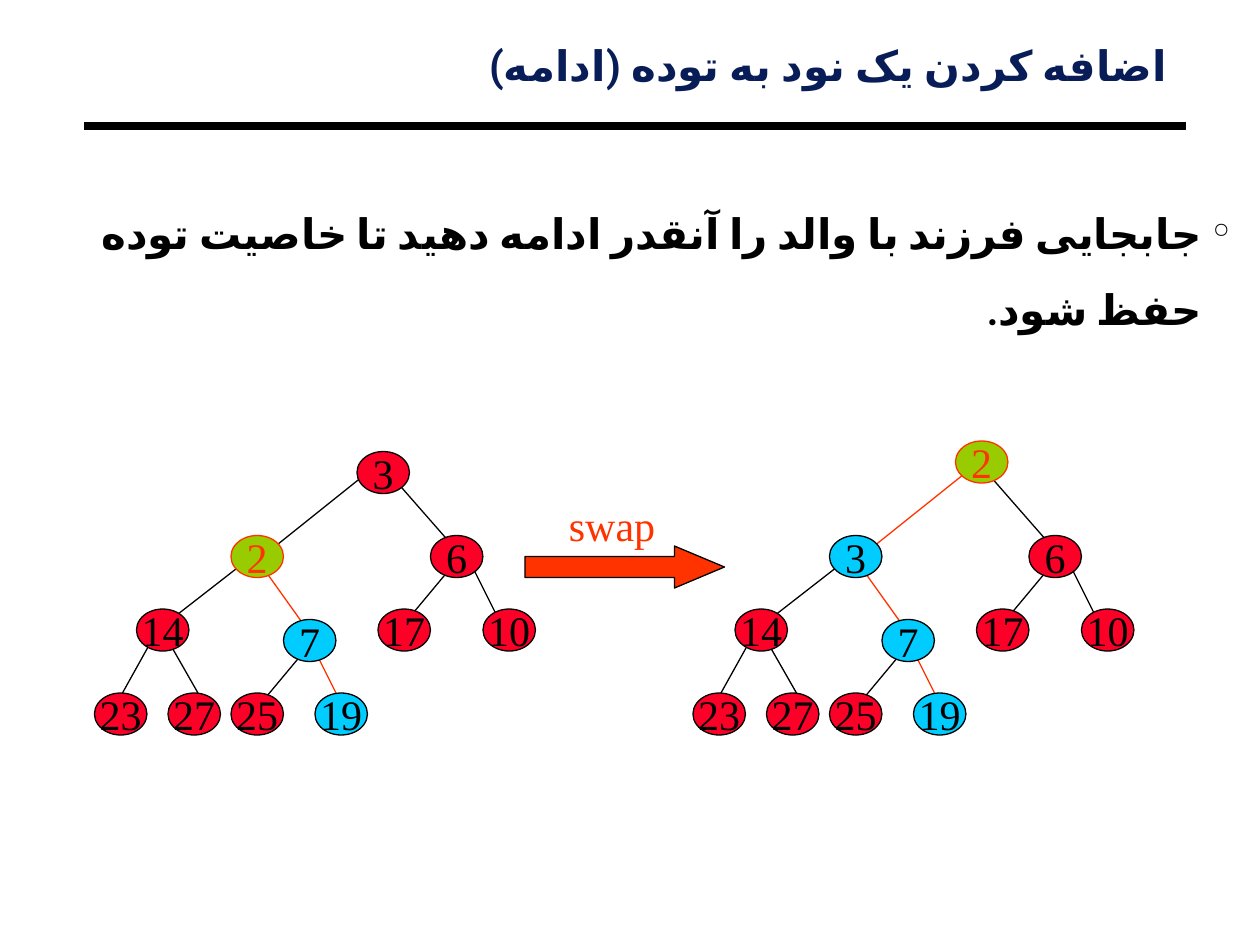
import pptx
import pptx.dml.color
import pptx.enum.lang
import pptx.enum.shapes
import pptx.enum.text
import pptx.oxml.ns
import pptx.util
import lxml.etree

Pt = pptx.util.Pt
Shape = pptx.enum.shapes.MSO_SHAPE
Anchor = pptx.enum.text.MSO_ANCHOR
Align = pptx.enum.text.PP_ALIGN
qn = pptx.oxml.ns.qn

BLACK, NAVY, ORANGE = "000000", "081D58", "FF3300"
RED, CYAN, GREEN = "FC0128", "00CCFF", "99CC00"
SERIF = "Times New Roman"
NODE_WIDTH, NODE_HEIGHT = 30, 24

NODES = {
    "root": (150, 6), "left": (78, 54), "6": (192, 54), "14": (24, 96),
    "7": (108, 102), "17": (162, 96), "10": (222, 96), "23": (0, 144),
    "27": (42, 144), "25": (78, 144), "19": (126, 144),
}
EDGES = {
    ("root", "left"): (156, 18, 96, 66), ("root", "6"): (168, 18, 210, 66),
    ("left", "14"): (90, 66, 36, 108), ("left", "7"): (96, 72, 126, 114),
    ("6", "17"): (204, 72, 174, 108), ("6", "10"): (216, 72, 234, 108),
    ("14", "23"): (36, 108, 6, 162), ("14", "27"): (42, 114, 66, 156),
    ("7", "25"): (120, 120, 90, 156), ("7", "19"): (126, 120, 144, 156),
}


def colour(value):
    """Return the colour for a hex string."""
    return pptx.dml.color.RGBColor.from_string(value)


def add_element(parent, tag, **attributes):
    """Append a drawing element with attributes to its parent."""
    return lxml.etree.SubElement(parent, qn(tag), **attributes)


def write_text(shape, text, font=SERIF, ink=BLACK, bold=False, align=Align.LEFT,
               anchor=Anchor.TOP, margins=(7.2, 3.6), wrap=True, spacing=None,
               persian=False, bullet=None, indent=16):
    """Fill a shape with one formatted paragraph."""
    frame = shape.text_frame
    frame.auto_size = pptx.enum.text.MSO_AUTO_SIZE.NONE
    frame.word_wrap = wrap
    frame.vertical_anchor = anchor
    frame.margin_left = frame.margin_right = Pt(margins[0])
    frame.margin_top = frame.margin_bottom = Pt(margins[1])
    para = frame.paragraphs[0]
    properties = para._p.get_or_add_pPr()
    if bullet:
        properties.set("marL", str(Pt(indent)))
        properties.set("indent", str(-Pt(indent)))
        add_element(add_element(properties, "a:buClr"), "a:srgbClr", val=ink)
        add_element(properties, "a:buChar", char=bullet)
    para.alignment = align
    if spacing:
        para.line_spacing = spacing
    span = para.add_run()
    span.text = text
    span.font.name = font
    span.font.size = Pt(24)
    span.font.bold = bold
    span.font.color.rgb = colour(ink)
    if persian:
        properties.set("rtl", "1")
        span.font.language_id = pptx.enum.lang.MSO_LANGUAGE_ID.FARSI
        add_element(span.font._element, "a:cs", typeface=font)


def add_line(shapes, start, end, ink=BLACK, width=0.75, arrow=False):
    """Draw a straight line, with an arrowhead at its end if asked."""
    line = shapes.add_connector(pptx.enum.shapes.MSO_CONNECTOR.STRAIGHT,
                                *map(Pt, start + end))
    line.line.color.rgb = colour(ink)
    line.line.width = Pt(width)
    if arrow:
        add_element(line.line._get_or_add_ln(), "a:tailEnd", type="triangle")
    add_element(line._element.spPr, "a:effectLst")


def add_filled(shapes, kind, box, fill, ink=BLACK):
    """Draw a filled preset shape with a thin outline."""
    shape = shapes.add_shape(kind, *map(Pt, box))
    shape.shadow.inherit = False
    shape.fill.solid()
    shape.fill.fore_color.rgb = colour(fill)
    shape.line.color.rgb = colour(ink)
    shape.line.width = Pt(0.75)
    return shape


def add_heading(page, box, text):
    """Place the title and the rule beneath it."""
    left, top, width, height = box
    title = page.shapes.title
    title.left, title.top, title.width, title.height = map(Pt, box)
    write_text(title, text, font="Roboto", ink=NAVY, bold=True, align=Align.RIGHT,
               margins=(5, 2.25), spacing=0.87, persian=True)
    add_line(page.shapes, (left, top + 47.5), (left + width + 6, top + 47.5), width=4.5)


def add_body(page, box, text):
    """Place the bulleted statement."""
    body = page.shapes.add_textbox(*map(Pt, box))
    write_text(body, text, font="Calibri", bold=True, align=Align.RIGHT,
               margins=(5, 2.25), spacing=1.5, persian=True, bullet="°")


def add_heap(shapes, left, top, changes, fills, hot_edges):
    """Draw one heap whose moved node is named 2."""
    for edge, (x1, y1, x2, y2) in EDGES.items():
        add_line(shapes, (left + x1, top + y1), (left + x2, top + y2),
                 ink=ORANGE if edge in hot_edges else BLACK,
                 arrow=edge == ("root", "left"))
    for name, (x, y) in NODES.items():
        label = changes.get(name, name)
        moved = label == "2"
        if moved and name == "root":
            y -= 6
        ink = ORANGE if moved else BLACK
        node = add_filled(shapes, Shape.OVAL,
                          (left + x, top + y, NODE_WIDTH, NODE_HEIGHT),
                          GREEN if moved else fills.get(label, RED), ink)
        write_text(node, label, ink=ink, align=Align.CENTER,
                   anchor=Anchor.MIDDLE, wrap=False)


def add_swap(page, box):
    """Place the block arrow and its label above it."""
    left, top, width, height = box
    arrow = add_filled(page.shapes, Shape.RIGHT_ARROW, box, ORANGE)
    arrow.adjustments[0] = 0.5
    arrow.adjustments[1] = 1.19
    label = page.shapes.add_textbox(Pt(left + 18), Pt(top - 30), Pt(102), Pt(36))
    write_text(label, "swap", ink=ORANGE)


def main():
    """Build the slide and save it."""
    deck = pptx.Presentation()
    deck.slide_width, deck.slide_height = Pt(720), Pt(540)
    page = deck.slides.add_slide(deck.slide_layouts[5])
    add_heading(page, (48, 24.5, 624, 30), "اضافه کردن یک نود به توده (ادامه)")
    add_body(page, (36, 102, 672, 91),
             "جابجایی فرزند با والد را آنقدر ادامه دهید تا خاصیت توده حفظ شود.")
    swapped_edges = {("left", "7"), ("7", "19")}
    add_heap(page.shapes, 54, 252, {"root": "3", "left": "2"},
             {"7": CYAN, "19": CYAN}, swapped_edges)
    add_heap(page.shapes.add_group_shape().shapes, 396, 252, {"root": "2", "left": "3"},
             {"3": CYAN, "7": CYAN, "19": CYAN}, swapped_edges | {("root", "left")})
    add_swap(page, (300, 312, 114, 24))
    deck.save("out.pptx")


if __name__ == "__main__":
    main()
